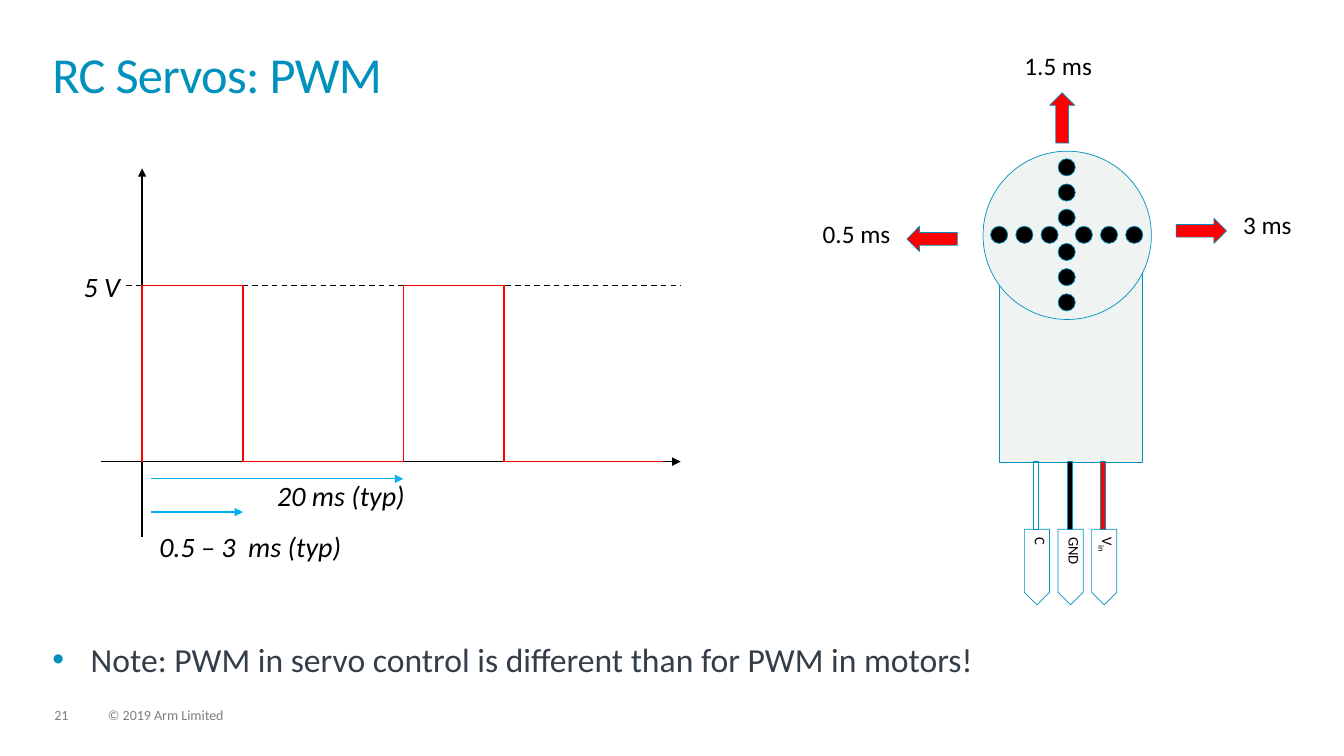
from dataclasses import dataclass

from lxml import etree
from pptx import Presentation
from pptx import util as u
from pptx.dml.color import RGBColor
from pptx.enum import dml, shapes, text
from pptx.oxml.ns import qn

FONT = "Calibri"
TEAL, RED, BLACK, BLUE = "0091BD", "FF0000", "000000", "00B0F0"
SHELL, GREY, SLATE = "EFF4F3", "7F7F7F", "333E48"
GEOM = shapes.MSO_SHAPE


@dataclass
class Label:
    words: str
    x: float
    y: float
    w: float
    h: float
    size: float = 18
    color: str = BLACK
    italic: bool = False
    rotation: float = 0
    subscript: str = ""


@dataclass
class Line:
    x1: float
    y1: float
    x2: float
    y2: float
    color: str = BLACK
    arrow: bool = False
    dashed: bool = False


@dataclass
class Pin:
    name: str
    wire: str | None
    subscript: str = ""


def rgb(color: str) -> RGBColor:
    return RGBColor.from_string(color)


def prepare(tf) -> None:
    tf.word_wrap = True
    tf.auto_size = text.MSO_AUTO_SIZE.NONE
    tf.vertical_anchor = text.MSO_ANCHOR.TOP
    tf.margin_left = tf.margin_right = tf.margin_top = tf.margin_bottom = 0


def add_run(p, words: str, size: float, color: str, italic: bool = False):
    r = p.add_run()
    r.text = words
    r.font.name = FONT
    r.font.size = u.Pt(size)
    r.font.italic = italic
    r.font.color.rgb = rgb(color)
    return r


def add_label(slide, label: Label) -> None:
    sp = slide.shapes.add_textbox(*map(u.Inches, (label.x, label.y, label.w, label.h)))
    sp.rotation = label.rotation
    prepare(sp.text_frame)
    p = sp.text_frame.paragraphs[0]
    add_run(p, label.words, label.size, label.color, label.italic)
    if label.subscript:
        r = add_run(p, label.subscript, label.size, label.color, label.italic)
        r.font._element.set("baseline", "-25000")


def add_part(slide, geom, x: float, y: float, w: float, h: float,
             fill: str | None = None, rotation: float = 0) -> None:
    sp = slide.shapes.add_shape(geom, *map(u.Inches, (x, y, w, h)))
    sp.shadow.inherit = False
    sp.rotation = rotation
    if fill:
        sp.fill.solid()
        sp.fill.fore_color.rgb = rgb(fill)
    else:
        sp.fill.background()
    sp.line.color.rgb = rgb(TEAL)
    sp.line.width = u.Pt(0.5)


def add_line(slide, line: Line) -> None:
    ends = map(u.Inches, (line.x1, line.y1, line.x2, line.y2))
    cxn = slide.shapes.add_connector(shapes.MSO_CONNECTOR.STRAIGHT, *ends)
    cxn.line.color.rgb = rgb(line.color)
    cxn.line.width = u.Pt(1)
    if line.dashed:
        cxn.line.dash_style = dml.MSO_LINE.DASH
    if line.arrow:
        etree.SubElement(cxn.line._get_or_add_ln(), qn("a:tailEnd"), type="triangle")
    etree.SubElement(cxn._element.spPr, qn("a:effectLst"))


def fill_placeholder(sp, x: float, y: float, w: float, h: float):
    sp.left, sp.top, sp.width, sp.height = map(u.Inches, (x, y, w, h))
    prepare(sp.text_frame)
    p = sp.text_frame.paragraphs[0]
    p.alignment = text.PP_ALIGN.LEFT
    p.space_before = u.Pt(0)
    return p


def add_title_and_note(slide) -> None:
    p = fill_placeholder(slide.shapes.title, 0.52, 0.52, 12.28, 0.72)
    p.line_spacing = 0.85
    r = add_run(p, "RC Servos: PWM", 36, TEAL)
    r.font._element.set("spc", "-50")

    p = fill_placeholder(slide.placeholders[1], 0.52, 6.34, 12.28, 0.68)
    pPr = p._p.get_or_add_pPr()
    pPr.set("marL", str(u.Inches(0.38)))
    pPr.set("indent", str(u.Inches(-0.38)))
    bullet_color = etree.SubElement(pPr, qn("a:buClr"))
    etree.SubElement(bullet_color, qn("a:srgbClr"), val=TEAL)
    etree.SubElement(pPr, qn("a:buFont"), typeface="Arial")
    etree.SubElement(pPr, qn("a:buChar"), char="•")
    add_run(p, "Note: PWM in servo control is different than for PWM in motors!", 24, SLATE)


def add_servo(slide) -> None:
    add_part(slide, GEOM.RECTANGLE, 9.91, 2.17, 1.42, 2.42, SHELL)
    pins = [Pin("C", None), Pin("GND", BLACK), Pin("V", RED, "in")]
    for i, pin in enumerate(pins):
        shift = i / 3
        add_part(slide, GEOM.PENTAGON, 9.91 + shift, 5.5, 0.75, 0.25, rotation=90)
        add_label(slide, Label(pin.name, 9.58 + shift, 5.58, 1.08, 0.58, 10.5,
                               rotation=90, subscript=pin.subscript))
        add_part(slide, GEOM.RECTANGLE, 10.25 + shift, 4.58, 0.05, 0.67, pin.wire)

    cx, cy, dot = 10.58, 2.33, 0.17
    add_part(slide, GEOM.OVAL, 9.75, 1.5, 1.67, 1.67, SHELL)
    for distance in (0.17, 0.42, 0.67):
        for dx, dy in ((0, -1), (0, 1), (-1, 0), (1, 0)):
            add_part(slide, GEOM.OVAL, cx + dx * distance - dot / 2,
                     cy + dy * distance - dot / 2, dot, dot, BLACK)

    for x, y, rotation in ((10.41, 0.92, 0), (9.12, 2.12, 270), (11.79, 2.04, 90)):
        add_part(slide, GEOM.UP_ARROW, x, y, 0.25, 0.5, RED, rotation)
    for words, x, y in (("1.5 ms", 10.16, 0.5), ("0.5 ms", 8.16, 2.17), ("3 ms", 12.33, 2.08)):
        add_label(slide, Label(words, x, y, 0.92, 0.42))


def add_waveform(slide) -> None:
    low, high = 4.58, 2.83
    lines = [
        Line(1, low, 6.75, low, arrow=True),
        Line(1.41, 5.33, 1.41, 1.67, arrow=True),
        Line(1.25, high, 6.75, high, dashed=True),
    ]
    for rise, end in ((1.41, 4), (4, 6.58)):
        fall = rise + 1
        lines += [
            Line(rise, low, rise, high, RED),
            Line(fall, low, fall, high, RED),
            Line(fall, high, rise, high, RED),
            Line(end, low, fall, low, RED),
        ]
    lines += [Line(1.5, 4.75, 4, 4.75, BLUE, True), Line(1.5, 5.08, 2.41, 5.08, BLUE, True)]
    for line in lines:
        add_line(slide, line)
    for words, x, y, w in (("20 ms (typ)", 2.75, 4.75, 1.5), ("5 V", 0.83, 2.67, 0.83),
                           ("0.5 – 3  ms (typ)", 1.58, 5.25, 2.08)):
        add_label(slide, Label(words, x, y, w, 0.5, 20, italic=True))


def main() -> None:
    prs = Presentation()
    prs.slide_width, prs.slide_height = u.Inches(13.33), u.Inches(7.5)
    slide = prs.slides.add_slide(prs.slide_layouts[1])
    add_title_and_note(slide)
    add_label(slide, Label("21", 0.54, 7.01, 0.34, 0.15, 10, GREY))
    add_label(slide, Label("© 2019 Arm Limited", 1.07, 7.01, 1.71, 0.15, 10, GREY))
    add_servo(slide)
    add_waveform(slide)
    prs.save("out.pptx")


if __name__ == "__main__":
    main()
